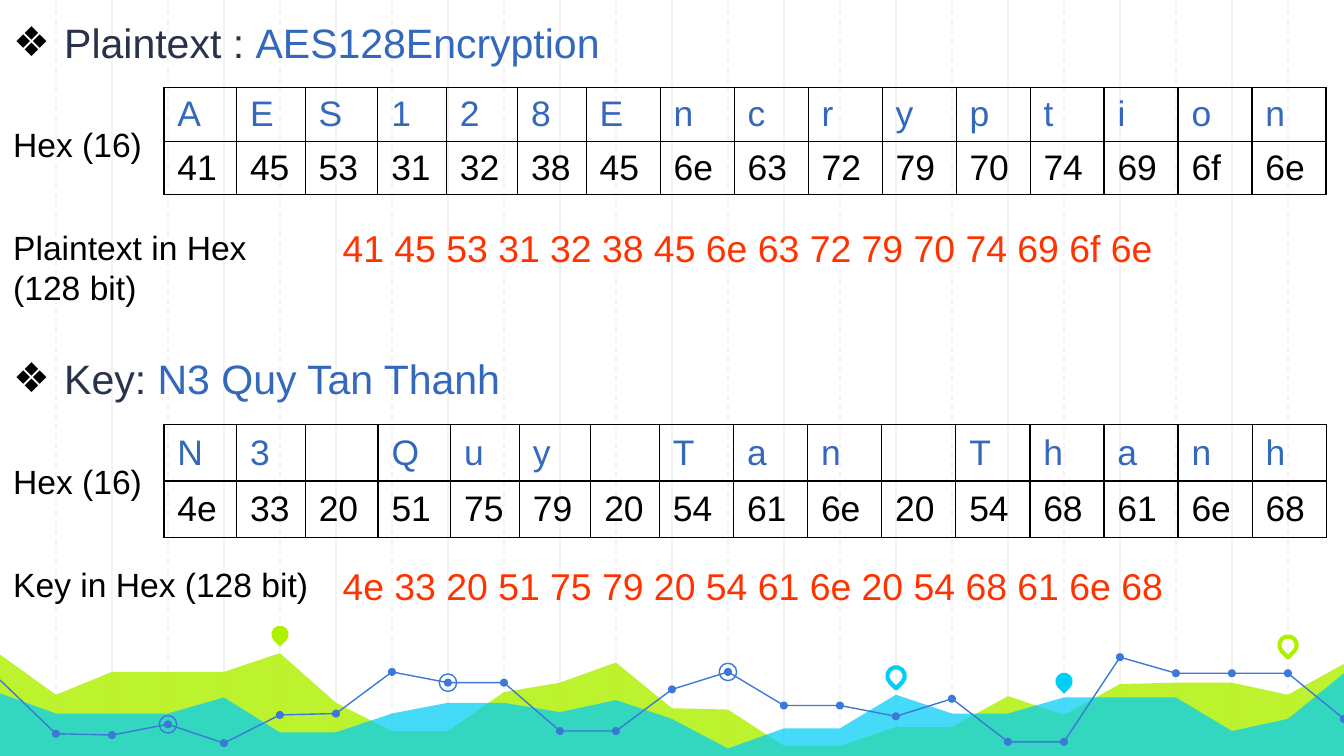
from lxml.etree import SubElement
from pptx import Presentation
from pptx.dml.color import RGBColor
from pptx.enum.dml import MSO_LINE
from pptx.enum.shapes import MSO_CONNECTOR, MSO_SHAPE
from pptx.enum.text import MSO_ANCHOR
from pptx.oxml.ns import qn
from pptx.util import Inches, Pt

WIDE = 10
HIGH = WIDE * 9 / 16
STEPS = 24
SPAN = 8.65
BLACK = RGBColor(0, 0, 0)
NAVY = RGBColor(0x28, 0x32, 0x4A)
BLUE = RGBColor(0x34, 0x68, 0xBC)
RED = RGBColor(0xFF, 0x33, 0x00)
GREY = RGBColor(0xF3, 0xF3, 0xF3)
LIME = RGBColor(0xAF, 0xF0, 0x00)
CYAN = RGBColor(0x00, 0xCE, 0xF6)
LINE = RGBColor(0x3C, 0x78, 0xD8)

# Each block: title top, body top, title, value, hex label, label height,
# row height, column widths
BLOCKS = [
    (0.08, 0.87, "Plaintext : ", "AES128Encryption", "Plaintext in Hex (128 bit)", 0.71,
     0.4, [0.54, 0.51, 0.54, 0.51, 0.53, 0.51] + [0.55] * 10),
    (2.58, 3.38, "Key: ", "N3 Quy Tan Thanh", "Key in Hex (128 bit)", 0.4,
     0.42, [0.54, 0.51, 0.54, 0.54, 0.51, 0.53, 0.51] + [0.55] * 9),
]

# Heights at every grid step from the left edge to the right edge
HILLS = [
    (LIME, 82, [4.87, 5.17, 5, 5, 5, 4.86, 5.23, 5.44, 5.44, 5.15, 5.08, 4.93, 5.27,
                5.28, 5.55, 5.55, 5.41, 5.41, 5.18, 5.32, 5.09, 5.08, 5.08, 5.17, 4.94]),
    (CYAN, 73, [5.16, 5.31, 5.31, 5.31, 5.19, 5.45, 5.45, 5.31, 5.23, 5.23, 5.3, 5.21, 5.35,
                5.57, 5.42, 5.42, 5.17, 5.31, 5.31, 5.19, 5.19, 5.19, 5.44, 5.35, 5.01]),
]
TREND = [5.06, 5.46, 5.47, 5.39, 5.53, 5.32, 5.31, 5, 5.08, 5.08, 5.44, 5.44, 5.13,
         5, 5.25, 5.25, 5.33, 5.2, 5.52, 5.52, 4.89, 5.01, 5.01, 5.01, 5.35]
BREAKS = [0, 11, 20, STEPS]
RINGS = [8, 3, 13]
# Each pin: grid step, centre height, colour, filled
PINS = [(5, 4.72, LIME, True), (16, 5.03, CYAN, False),
        (19, 5.07, CYAN, True), (23, 4.8, LIME, False)]

deck = Presentation()
deck.slide_width, deck.slide_height = Inches(WIDE), Inches(HIGH)
slide = deck.slides.add_slide(deck.slide_layouts[6])
shapes = slide.shapes


def step(i):
    """Return the x of a grid step."""
    return WIDE * i / STEPS


def paint(shape, fill=None, line=None, width=0.75):
    """Set fill and line, with no shadow."""
    shape.shadow.inherit = False
    if fill is None:
        shape.fill.background()
    else:
        shape.fill.solid()
        shape.fill.fore_color.rgb = fill
    if line is None:
        shape.line.fill.background()
    else:
        shape.line.color.rgb = line
        shape.line.width = Pt(width)


def trace(points, close):
    """Draw a freeform through points in inches."""
    spots = [(Inches(x), Inches(y)) for x, y in points]
    pen = shapes.build_freeform(*spots[0])
    pen.add_line_segments(spots[1:], close=close)
    return pen.convert_to_shape()


def mark(kind, x, y, size, **look):
    """Draw a small shape about its centre."""
    shape = shapes.add_shape(kind, Inches(x - size / 2), Inches(y - size / 2),
                             Inches(size), Inches(size))
    paint(shape, **look)
    return shape


def write(para, text, size=18, color=BLACK):
    """Add one formatted run of text."""
    run = para.add_run()
    run.text = text
    run.font.size, run.font.name = Pt(size), "Arial"
    run.font.color.rgb = color


def label(x, y, w, h, *parts, bullet=None):
    """Add a text box of (text, size, colour) parts."""
    frame = shapes.add_textbox(Inches(x), Inches(y), Inches(w), Inches(h)).text_frame
    frame.word_wrap = True
    para = frame.paragraphs[0]
    for text, size, color in parts:
        write(para, text, size=size, color=color)
    if bullet:
        props = para._p.get_or_add_pPr()
        props.set("marL", str(Inches(0.38)))
        props.set("indent", str(-Inches(0.38)))
        tint = SubElement(props, qn("a:buClr"))
        SubElement(tint, qn("a:srgbClr"), val=str(BLACK))
        SubElement(props, qn("a:buFont"), typeface="Arial")
        SubElement(props, qn("a:buChar"), char=bullet)


def frame_cell(cell):
    """Give a cell thin black borders and no fill."""
    props = cell._tc.get_or_add_tcPr()
    for side in ("lnL", "lnR", "lnT", "lnB"):
        edge = SubElement(props, qn("a:" + side), w=str(Pt(0.75)))
        fill = SubElement(edge, qn("a:solidFill"))
        SubElement(fill, qn("a:srgbClr"), val=str(BLACK))
    cell.fill.background()
    cell.vertical_anchor = MSO_ANCHOR.MIDDLE


def grid(top, rows, widths, tall):
    """Add the table of letters over their hex codes."""
    table = shapes.add_table(len(rows), len(widths), Inches(1.22), Inches(top),
                             Inches(SPAN), Inches(tall * len(rows))).table
    table.first_row = table.horz_banding = False
    for col, width in zip(table.columns, widths):
        col.width = Inches(width * SPAN / sum(widths))
    for r, (row, color) in enumerate(zip(rows, (BLUE, BLACK))):
        table.rows[r].height = Inches(tall)
        for c, text in enumerate(row):
            cell = table.cell(r, c)
            frame_cell(cell)
            if text.strip():
                write(cell.text_frame.paragraphs[0], text, size=19, color=color)


def backdrop():
    """Draw the guide lines, hills, trend line and pins."""
    for first, dash in ((2, None), (1, MSO_LINE.DASH)):
        for i in range(first, STEPS, 2):
            x = Inches(step(i))
            rule = shapes.add_connector(MSO_CONNECTOR.STRAIGHT, x, 0, x, Inches(HIGH))
            rule.line.color.rgb, rule.line.width = GREY, Pt(0.75)
            rule.line.dash_style = dash
            SubElement(rule._element.spPr, qn("a:effectLst"))
    for color, alpha, tops in HILLS:
        ridge = [(step(i), y) for i, y in enumerate(tops)]
        hill = trace(ridge + [(WIDE, HIGH), (0, HIGH)], True)
        paint(hill, fill=color)
        tint = hill._element.spPr.find(qn("a:solidFill"))[0]
        SubElement(tint, qn("a:alpha"), val=str(alpha * 1000))
    for i, y, color, solid in PINS:
        look = {"fill": color} if solid else {"line": color, "width": 2.25}
        pin = mark(MSO_SHAPE.TEAR, step(i), y, 0.13, **look)
        pin.rotation = 135
    dots = [(step(i), y) for i, y in enumerate(TREND)]
    for a, b in zip(BREAKS, BREAKS[1:]):
        paint(trace(dots[a:b + 1], False), line=LINE)
    for x, y in dots[1:]:
        mark(MSO_SHAPE.OVAL, x, y, 0.06, fill=LINE)
    for i in RINGS:
        mark(MSO_SHAPE.OVAL, *dots[i], 0.13, line=LINE)


backdrop()
for top, body, title, value, name, deep, tall, widths in BLOCKS:
    codes = [format(ord(char), "02x") for char in value]
    grid(body - 0.22, [value, codes], widths, tall)
    label(0, top, 6.67, 0.47, (title, 22, NAVY), (value, 22, BLUE), bullet="❖")
    label(0, body, 1.17, 0.4, ("Hex (16)", 18, BLACK))
    label(0, body + 0.77, 2.45, deep, (name, 18, BLACK))
    label(2.45, body + 0.76, 6.35, 0.44, (" ".join(codes), 20, RED))

deck.save("out.pptx")
